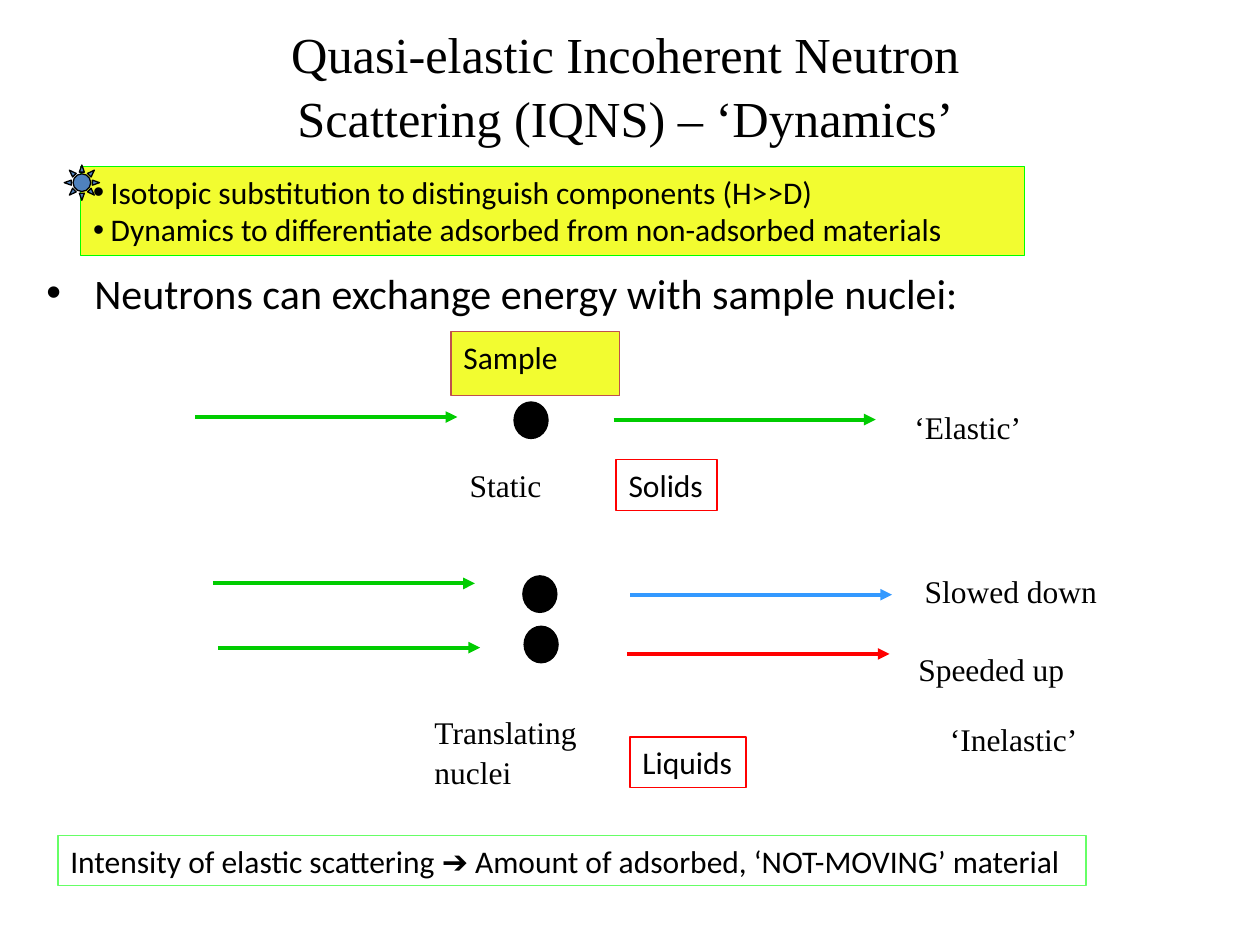
"""Build a slide on quasi-elastic neutron scattering with ray diagrams."""
import pptx
import pptx.util
import pptx.dml.color
import pptx.enum.shapes
import pptx.enum.text
import pptx.oxml
import pptx.oxml.ns

RGB = pptx.dml.color.RGBColor
KIND = pptx.enum.shapes.MSO_SHAPE
ALIGN = pptx.enum.text.PP_ALIGN
ANCHOR = pptx.enum.text.MSO_ANCHOR

BLACK = RGB(0, 0, 0)
GREEN = RGB(0x00, 0xCC, 0x00)
LIME = RGB(0x00, 0xFF, 0x00)
MINT = RGB(0x66, 0xFF, 0x66)
RED = RGB(0xFF, 0x00, 0x00)
BRICK = RGB(0xC0, 0x50, 0x4D)
SKY = RGB(0x33, 0x99, 0xFF)
BLUE = RGB(0x4F, 0x81, 0xBD)
YELLOW = RGB(0xF2, 0xFC, 0x30)

SERIF, SANS = "Times New Roman", "Calibri"
WIDE, HIGH = 10, 7.5
COLS, ROWS = 100, 75
RAY = 20.8
DOT = (2.7, 2.9)

TITLE = ("Quasi-elastic Incoherent Neutron Scattering (IQNS) – ‘Dynamics’", (14.7, 2.6, 69.9, 8.1))
LEAD = ("Neutrons can exchange energy with sample nuclei:", (2.7, 20.7, 94.9, 8.8))
POINTS = [
    "Isotopic substitution to distinguish components (H>>D)",
    "Dynamics to differentiate adsorbed from non-adsorbed materials",
]
LABELS = [
    ("‘Elastic’", (71.6, 31.7, 13.4, 4)),
    ("Static", (36.3, 36.3, 13.4, 5)),
    ("Slowed down", (72.4, 44.7, 18.6, 4)),
    ("Speeded up", (71.9, 50.9, 17.6, 4)),
    ("‘Inelastic’", (74.4, 56.5, 17.1, 4)),
    ("Translating nuclei", (33.5, 55.9, 17.3, 9)),
]
BOXES = [
    ("Sample", (35.8, 26.3, 13.4, 5.1), BRICK, YELLOW),
    ("Solids", (48.9, 36.5, 8, 4), RED, None),
    ("Liquids", (50, 58.5, 9.2, 4), RED, None),
    ("Intensity of elastic scattering ➔ Amount of adsorbed, ‘NOT-MOVING’ material",
     (4.6, 66.3, 81.6, 4), MINT, None),
]
RAYS = [
    (15.5, 33.1, GREEN), (48.7, 33.3, GREEN),
    (16.9, 46.3, GREEN), (50, 47.2, SKY),
    (17.3, 51.4, GREEN), (49.8, 51.9, RED),
]
DOTS = [(40.8, 31.9), (41.5, 45.7), (41.6, 49.7)]
SUN = (5.1, 13.1, 2.8, 2.8)

deck = pptx.Presentation()
deck.slide_width = pptx.util.Inches(WIDE)
deck.slide_height = pptx.util.Inches(HIGH)
shapes = deck.slides.add_slide(deck.slide_layouts[6]).shapes


def place(*cells):
    """Turn grid columns and rows into slide lengths."""
    units = (deck.slide_width / COLS, deck.slide_height / ROWS)
    return [round(cell * units[i % 2]) for i, cell in enumerate(cells)]


def node(parent, tag, **attrs):
    """Add an XML child with the given attributes."""
    child = pptx.oxml.parse_xml(f"<a:{tag} {pptx.oxml.ns.nsdecls('a')}/>")
    for name, value in attrs.items():
        child.set(name, value)
    parent.append(child)


def write(lines, spot, face, size=18, hang=0):
    """Add a text box, with hanging bullets if hang is given in inches."""
    box = shapes.add_textbox(*place(*spot))
    frame = box.text_frame
    frame.word_wrap = True
    frame.margin_right = 0 if face == SANS else frame.margin_left
    frame.text = "\n".join(lines)
    for para in frame.paragraphs:
        if hang:
            props = para._p.get_or_add_pPr()
            step = pptx.util.Inches(hang)
            props.set("marL", str(step))
            props.set("indent", str(-step))
            node(props, "buFont", typeface="Arial")
            node(props, "buChar", char="•")
        if face == SERIF:
            para.line_spacing = 1.06
        for run in para.runs:
            run.font.name = face
            run.font.size = pptx.util.Pt(size)
            run.font.color.rgb = BLACK
    return box


def paint(shape, edge, fill=None):
    """Give a shape a thin edge and an optional fill."""
    shape.line.color.rgb = edge
    shape.line.width = pptx.util.Pt(0.75)
    if fill is not None:
        shape.fill.solid()
        shape.fill.fore_color.rgb = fill


def mark(kind, spot, fill):
    """Add a filled preset shape with a black edge."""
    shape = shapes.add_shape(kind, *place(*spot))
    shape.shadow.inherit = False
    paint(shape, BLACK, fill)


def shoot(left, top, color):
    """Add a level arrow for one neutron."""
    ray = shapes.add_connector(
        pptx.enum.shapes.MSO_CONNECTOR.STRAIGHT, *place(left, top, left + RAY, top))
    ray.line.color.rgb = color
    ray.line.width = pptx.util.Pt(2.25)
    node(ray.line._get_or_add_ln(), "tailEnd", type="triangle")
    node(ray._element.spPr, "effectLst")


def main():
    """Lay out the slide and save it."""
    text, spot = TITLE
    head = write([text], spot, SERIF, 28.8).text_frame
    head.vertical_anchor = ANCHOR.MIDDLE
    head.paragraphs[0].alignment = ALIGN.CENTER
    text, spot = LEAD
    write([text], spot, SANS, 24, 0.38)
    for text, spot in LABELS:
        write([text], spot, SERIF)
    for ray in RAYS:
        shoot(*ray)
    for dot in DOTS:
        mark(KIND.OVAL, dot + DOT, BLACK)
    for text, spot, edge, fill in BOXES:
        paint(write([text], spot, SANS), edge, fill)
    paint(write(POINTS, (6.4, 13.2, 74.9, 7.1), SANS, hang=0.14), LIME, YELLOW)
    mark(KIND.SUN, SUN, BLUE)
    deck.save("out.pptx")


if __name__ == "__main__":
    main()
